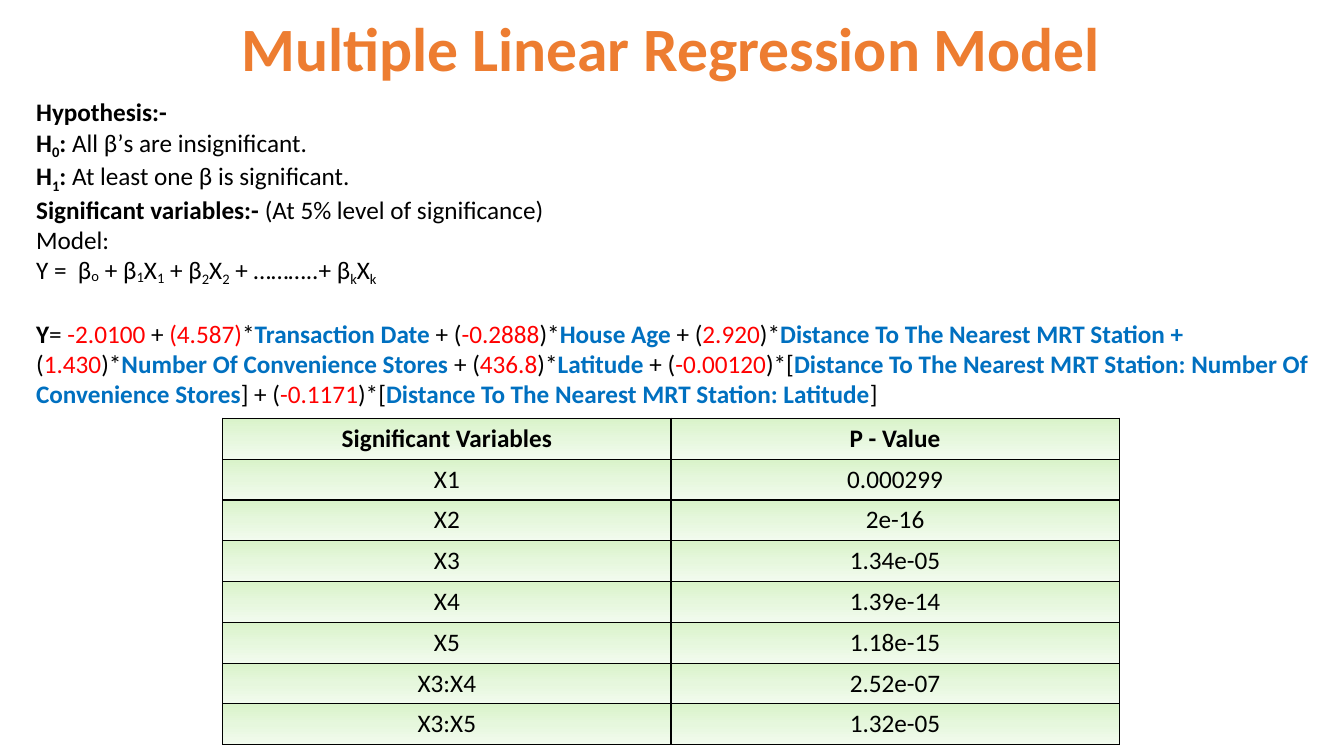
from dataclasses import dataclass

from lxml.etree import SubElement
from pptx import Presentation
from pptx.dml.color import RGBColor
from pptx.enum.text import MSO_ANCHOR as Anchor, PP_ALIGN as Align
from pptx.oxml.ns import qn
from pptx.util import Inches, Pt

FONT = "Calibri"
BLACK, RED, BLUE, ORANGE = "000000", "FF0000", "0070C0", "ED7D31"
GREEN_STOPS = {0: "D9F3C9", 50: "E6F7DD", 100: "F2FBEE"}
BODY_SIZE = 18


@dataclass(frozen=True)
class Span:
    text: str
    bold: bool = False
    color: str = BLACK
    baseline: int = 0  # percent of the text size


def bold(text: str) -> Span:
    return Span(text, bold=True)


def sub(text: str, baseline: int, heavy: bool = False) -> Span:
    return Span(text, bold=heavy, baseline=baseline)


def number(text: str) -> Span:
    return Span(text, color=RED)


def variable(text: str) -> Span:
    return Span(text, bold=True, color=BLUE)


HYPOTHESIS = [
    [bold("Hypothesis:-")],
    [bold("H"), sub("0", -22, True), bold(":"), Span(" All β’s are insignificant.")],
    [bold("H"), sub("1", -22, True), bold(":"), Span(" At least one β is significant.")],
    [bold("Significant variables:-"), Span(" (At 5% level of significance)")],
    [Span("Model:")],
    [
        Span("Y =  β"), sub("o", -8), Span(" + β"), sub("1", -12),
        Span("X"), sub("1", -16), Span(" + β"), sub("2", -18),
        Span("X"), sub("2", -18), Span(" + ………..+ β"), sub("k", -18),
        Span("X"), sub("k", -18),
    ],
]

FITTED_MODEL = [
    bold("Y"), Span("= "), number("-2.0100 "), Span("+ "),
    number("(4.587)"), Span("*"), variable("Transaction Date "), Span("+ ("),
    number("-0.2888"), Span(")*"), variable("House Age "), Span("+ ("),
    number("2.920"), Span(")*"),
    variable("Distance To The Nearest MRT Station + "), Span("("),
    number("1.430"), Span(")*"),
    variable("Number Of Convenience Stores "), Span("+ ("),
    number("436.8"), Span(")*"), variable("Latitude "), Span("+ ("),
    number("-0.00120"), Span(")*["),
    variable("Distance To The Nearest MRT Station: Number Of Convenience Stores"),
    Span("] + ("), number("-0.1171"), Span(")*["),
    variable("Distance To The Nearest MRT Station: Latitude"), Span("]"),
]

P_VALUES = [
    ("Significant Variables", "P - Value"),
    ("X1", "0.000299"),
    ("X2", "2e-16"),
    ("X3", "1.34e-05"),
    ("X4", "1.39e-14"),
    ("X5", "1.18e-15"),
    ("X3:X4", "2.52e-07"),
    ("X3:X5", "1.32e-05"),
]


def style_font(font, size: float, color: str, heavy: bool) -> None:
    font.name = FONT
    font.size = Pt(size)
    font.bold = heavy
    font.color.rgb = RGBColor.from_string(color)


def write_spans(para, spans: list[Span]) -> None:
    for span in spans:
        run = para.add_run()
        run.text = span.text
        style_font(run.font, BODY_SIZE, span.color, span.bold)
        if span.baseline:
            run._r.get_or_add_rPr().set("baseline", str(span.baseline * 1000))


def add_color(parent, color: str) -> None:
    SubElement(parent, qn("a:srgbClr"), val=color)


def style_cell(cell) -> None:
    """Give a cell thin black borders and a vertical green gradient."""
    properties = cell._tc.get_or_add_tcPr()
    for side in ("lnL", "lnR", "lnT", "lnB"):
        line = SubElement(properties, qn(f"a:{side}"), w=str(Pt(1)))
        add_color(SubElement(line, qn("a:solidFill")), BLACK)
    gradient = SubElement(properties, qn("a:gradFill"))
    stops = SubElement(gradient, qn("a:gsLst"))
    for percent, color in GREEN_STOPS.items():
        add_color(SubElement(stops, qn("a:gs"), pos=str(percent * 1000)), color)
    SubElement(gradient, qn("a:lin"), ang=str(90 * 60000), scaled="0")


def add_title(page) -> None:
    title = page.shapes.title
    title.left, title.top = Inches(2.21), Inches(0.11)
    title.width, title.height = Inches(8.9), Inches(0.8)
    frame = title.text_frame
    frame.text = "Multiple Linear Regression Model"
    frame.vertical_anchor = Anchor.MIDDLE
    para = frame.paragraphs[0]
    para.alignment = Align.CENTER
    para.line_spacing = 0.9
    style_font(para.runs[0].font, 44, ORANGE, True)


def add_body(page) -> None:
    box = page.shapes.add_textbox(Inches(0.26), Inches(0.91), Inches(12.91), Inches(6.48))
    frame = box.text_frame
    frame.word_wrap = True
    for index, spans in enumerate(HYPOTHESIS):
        para = frame.add_paragraph() if index else frame.paragraphs[0]
        write_spans(para, spans)
    fitted = frame.add_paragraph()
    fitted.space_before = Pt(22)
    write_spans(fitted, FITTED_MODEL)


def add_p_values(page) -> None:
    table = page.shapes.add_table(
        len(P_VALUES), 2, Inches(2.21), Inches(4.15), Inches(8.89), Inches(3.24)
    ).table
    for row, texts in enumerate(P_VALUES):
        for column, text in enumerate(texts):
            cell = table.cell(row, column)
            cell.text = text
            para = cell.text_frame.paragraphs[0]
            para.alignment = Align.CENTER
            style_font(para.runs[0].font, BODY_SIZE, BLACK, row == 0)
            style_cell(cell)


def main() -> None:
    deck = Presentation()
    deck.slide_width, deck.slide_height = Inches(13.33), Inches(7.5)
    page = deck.slides.add_slide(deck.slide_layouts.get_by_name("Title Only"))
    add_title(page)
    add_body(page)
    add_p_values(page)
    deck.save("out.pptx")


if __name__ == "__main__":
    main()
